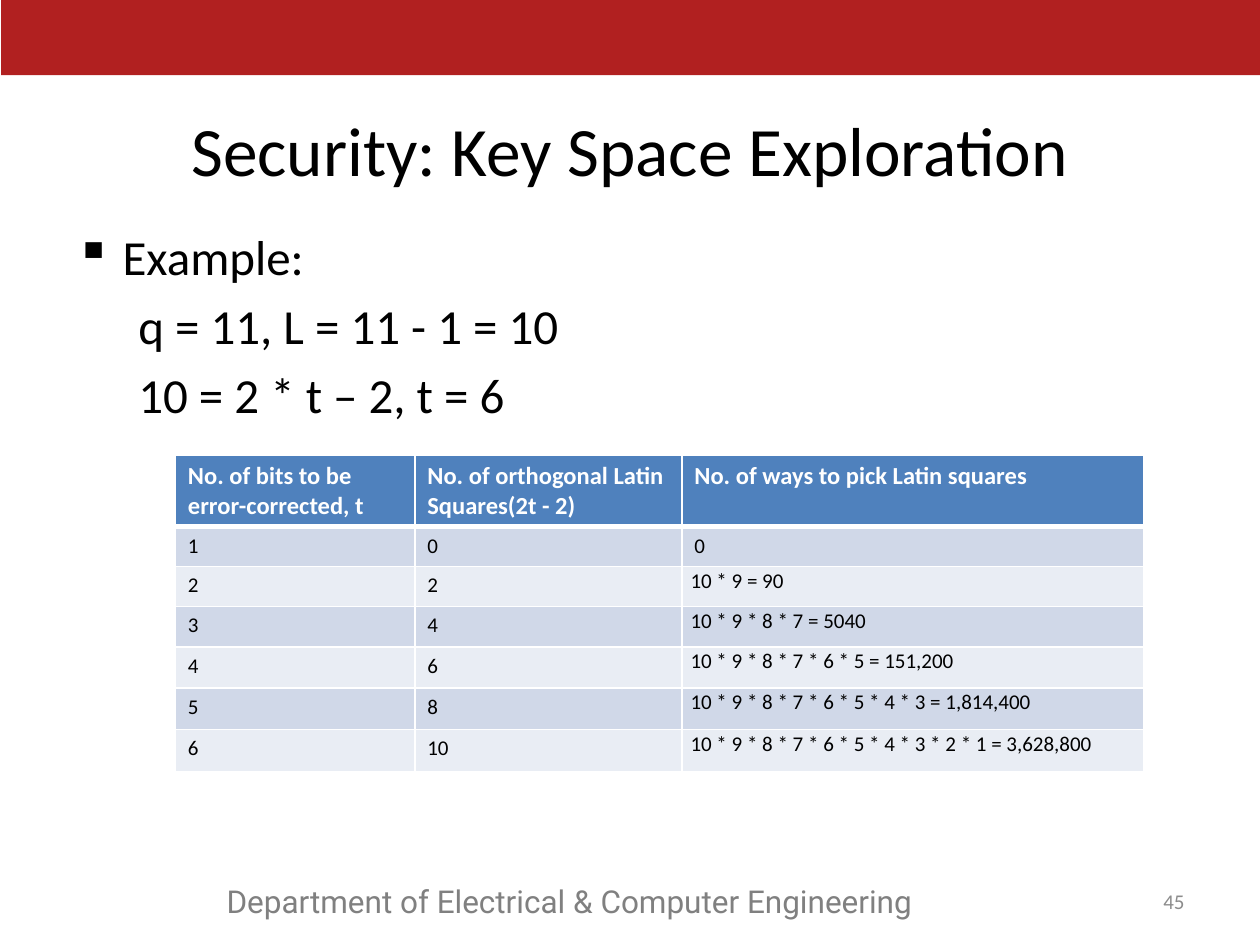
"""Build the key space exploration slide with its table of Latin square choices."""
from math import prod

from lxml.etree import SubElement
from pptx import Presentation
from pptx.dml.color import RGBColor
from pptx.enum.shapes import MSO_SHAPE
from pptx.enum.text import MSO_ANCHOR, PP_ALIGN
from pptx.oxml.ns import qn
from pptx.util import Pt

TITLE = "Security: Key Space Exploration"
EXAMPLE = ["Example:", "q = 11, L = 11 - 1 = 10", "10 = 2 * t – 2, t = 6"]
DEPARTMENT = "Department of Electrical & Computer Engineering"
PAGE = "45"
HEADERS = [
    "No. of bits to be error-corrected, t",
    "No. of orthogonal Latin Squares(2t - 2)",
    "No. of ways to pick Latin squares",
]
LATIN_SQUARES = 10
MAX_BITS = 6
COLUMN_WIDTHS = [136.8, 152.6, 264.2]
ROW_HEIGHTS = [40.2, 22.8, 22.8, 23, 23.6, 23.8, 23.8]
HEADER_FILL = "4F81BD"
BAND_FILLS = ["D0D8E8", "E9EDF4"]


def color(value):
    return RGBColor.from_string(value)


def write(frame, lines, size=12, font="Calibri", ink="000000", bold=False,
          align=PP_ALIGN.LEFT, anchor=MSO_ANCHOR.TOP, before=0, spacing=None):
    frame.word_wrap = True
    frame.vertical_anchor = anchor
    for number, line in enumerate(lines):
        paragraph = frame.add_paragraph() if number else frame.paragraphs[0]
        paragraph.alignment = align
        paragraph.space_before = Pt(before)
        if spacing:
            paragraph.line_spacing = spacing
        run = paragraph.add_run()
        run.text = line
        run.font.size = Pt(size)
        run.font.name = font
        run.font.bold = bold
        run.font.color.rgb = color(ink)
    return frame


def add_text(slide, box, lines, **style):
    textbox = slide.shapes.add_textbox(*map(Pt, box))
    return write(textbox.text_frame, lines, **style)


def indent(paragraph, left, bullet=None):
    properties = paragraph._p.get_or_add_pPr()
    properties.set("marL", str(Pt(left)))
    properties.set("indent", str(-Pt(left) if bullet else 0))
    if bullet:
        SubElement(properties, qn("a:buChar"), char=bullet)


def border(cell, **widths):
    properties = cell._tc.get_or_add_tcPr()
    for side in "LRTB":
        line = SubElement(properties, qn(f"a:ln{side}"), w=str(Pt(widths.get(side, 1))))
        SubElement(SubElement(line, qn("a:solidFill")), qn("a:srgbClr"), val="FFFFFF")


def ways(bits):
    count = 2 * bits - 2
    if not count:
        return "0"
    factors = range(LATIN_SQUARES, LATIN_SQUARES - count, -1)
    total = prod(factors)
    result = f"{total:,}" if total >= 10000 else str(total)
    return f"{' * '.join(map(str, factors))} = {result}"


def add_key_table(slide):
    rows = [HEADERS] + [[str(t), str(2 * t - 2), ways(t)] for t in range(1, MAX_BITS + 1)]
    table = slide.shapes.add_table(
        len(rows), len(HEADERS), Pt(100.2), Pt(260.2),
        Pt(sum(COLUMN_WIDTHS)), Pt(sum(ROW_HEIGHTS))).table
    for column, width in zip(table.columns, COLUMN_WIDTHS):
        column.width = Pt(width)
    for r, (values, height) in enumerate(zip(rows, ROW_HEIGHTS)):
        table.rows[r].height = Pt(height)
        for c, value in enumerate(values):
            cell = table.cell(r, c)
            border(cell, **{0: {"B": 3}, 1: {"T": 3}}.get(r, {}))
            cell.fill.solid()
            cell.fill.fore_color.rgb = color(BAND_FILLS[(r - 1) % 2] if r else HEADER_FILL)
            formula = c == 2 and r > 1
            if formula:
                cell.margin_left = cell.margin_right = Pt(5)
                cell.margin_top = cell.margin_bottom = Pt(0)
            style = {} if r else {"size": 14, "ink": "FFFFFF", "bold": True}
            write(cell.text_frame, [value], spacing=1.07 if formula else None, **style)


def main():
    deck = Presentation()
    deck.slide_width, deck.slide_height = Pt(720), Pt(540)
    slide = deck.slides.add_slide(deck.slide_layouts[6])

    banner = slide.shapes.add_shape(MSO_SHAPE.RECTANGLE, Pt(0.7), Pt(0), Pt(720), Pt(43))
    banner.shadow.inherit = False
    banner.fill.solid()
    banner.fill.fore_color.rgb = color("B12020")
    banner.line.fill.background()

    add_text(slide, (122.4, 500.4, 415.4, 28.8), [DEPARTMENT],
             size=18, font="Roboto", ink="808080")
    add_text(slide, (36, 58.3, 648, 53.3), [TITLE], size=39.6,
             align=PP_ALIGN.CENTER, anchor=MSO_ANCHOR.MIDDLE)
    example = add_text(slide, (36, 126, 648, 356.4), EXAMPLE, size=28, before=5.6)
    heading, *equations = example.paragraphs
    indent(heading, 27, "▪")
    for equation in equations:
        indent(equation, 36)
    add_text(slide, (641.5, 500.4, 42.5, 28.8), [PAGE], ink="8C8C8C",
             align=PP_ALIGN.RIGHT, anchor=MSO_ANCHOR.MIDDLE)
    add_key_table(slide)
    deck.save("out.pptx")


if __name__ == "__main__":
    main()
